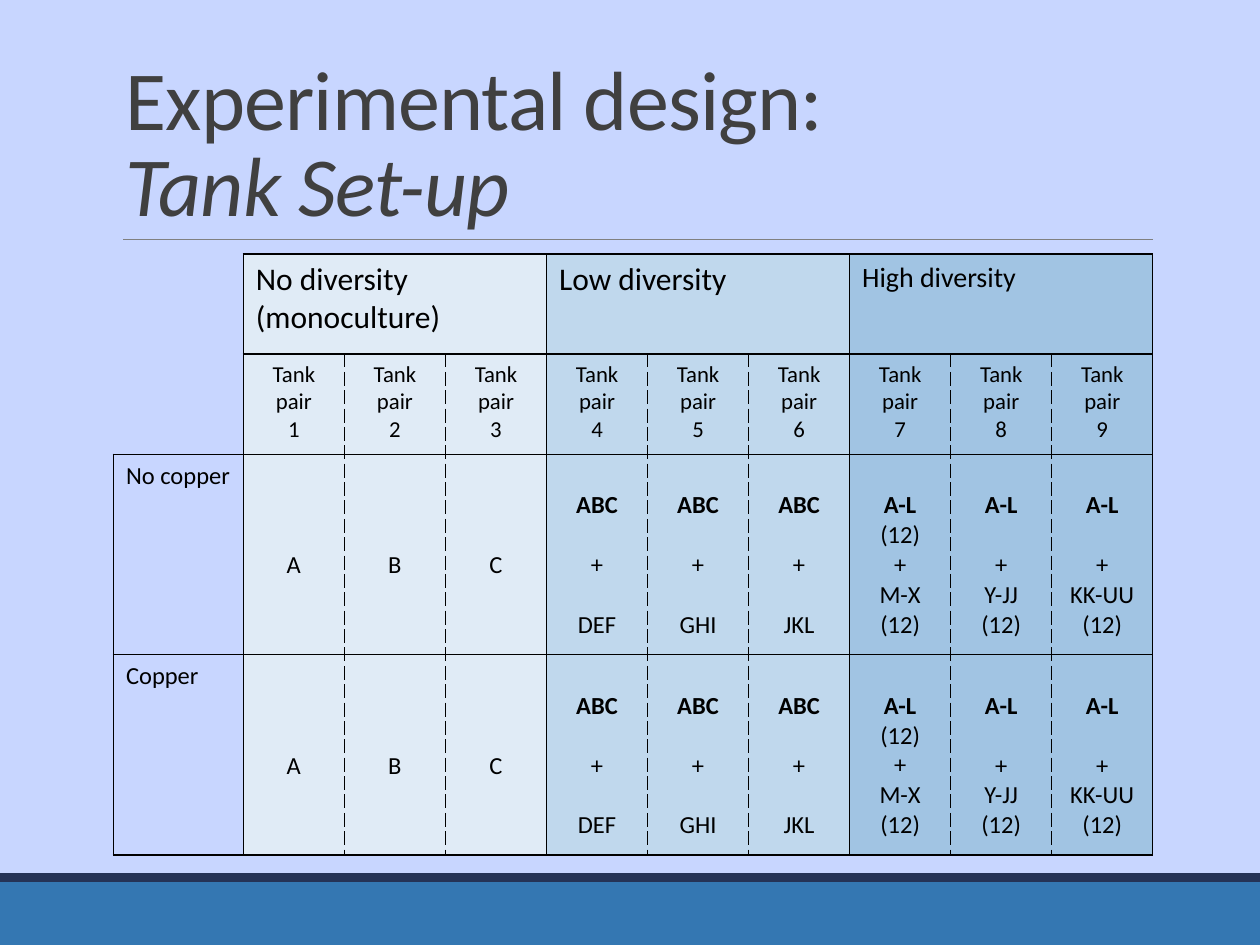
"""Build the tank set-up slide of an experimental design talk."""
from lxml import etree
from pptx import Presentation
from pptx.dml.color import RGBColor
from pptx.enum.shapes import MSO_CONNECTOR, MSO_SHAPE
from pptx.enum.text import MSO_ANCHOR, PP_ALIGN
from pptx.oxml import parse_xml
from pptx.oxml.ns import nsdecls, qn
from pptx.util import Pt


def color(value):
    """Turn a hex string into a colour."""
    return RGBColor.from_string(value)


def set_borders(cell, styles):
    """Draw the left, right, top and bottom edges; None hides an edge."""
    properties = cell._tc.get_or_add_tcPr()
    for index, (side, dash) in enumerate(zip("LRTB", styles)):
        fill = '<a:solidFill><a:srgbClr val="000000"/></a:solidFill>' if dash else "<a:noFill/>"
        line = parse_xml(
            f'<a:ln{side} {nsdecls("a")} w="12700">{fill}'
            f'<a:prstDash val="{dash or "solid"}"/></a:ln{side}>'
        )
        properties.insert(index, line)


presentation = Presentation()
presentation.slide_width = Pt(720)
presentation.slide_height = Pt(540)
slide = presentation.slides.add_slide(presentation.slide_layouts[6])
slide.background.fill.solid()
slide.background.fill.fore_color.rgb = color("C8D6FF")

for top, height, fill in ((504, 36, "3477B2"), (499, 5, "253356")):
    bar = slide.shapes.add_shape(MSO_SHAPE.RECTANGLE, 0, Pt(top), Pt(720), Pt(height))
    bar.shadow.inherit = False
    bar.fill.solid()
    bar.fill.fore_color.rgb = color(fill)
    bar.line.fill.background()

rule = slide.shapes.add_connector(MSO_CONNECTOR.STRAIGHT, Pt(70.5), Pt(136.8), Pt(658.8), Pt(136.8))
rule.line.color.rgb = color("808080")
rule.line.width = Pt(0.5)
etree.SubElement(rule._element.spPr, qn("a:effectLst"))

title = slide.shapes.add_textbox(Pt(64.8), Pt(22.3), Pt(594), Pt(114.5))
title.text_frame.word_wrap = True
title.text_frame.vertical_anchor = MSO_ANCHOR.BOTTOM
paragraph = title.text_frame.paragraphs[0]
paragraph.line_spacing = 0.85
paragraph.font.size = Pt(48)
paragraph.font.name = "Calibri"
paragraph.font.color.rgb = color("404040")
paragraph.add_run().text = "Experimental design:"
paragraph.add_line_break()
subtitle = paragraph.add_run()
subtitle.text = "Tank Set-up"
subtitle.font.italic = True
for run in paragraph.runs:
    run.font.size = Pt(48)
    run._r.get_or_add_rPr().set("spc", "-50")

LINE = 17.1
groups = [
    ("No diversity (monoculture)", 18, "E0EBF6"),
    ("Low diversity", 18, "C0D8ED"),
    ("High diversity", 16, "A1C4E3"),
]
mixes = [[name] for name in "ABC"]
mixes += [["ABC", "+", name] for name in ("DEF", "GHI", "JKL")]
mixes += [["A-L", "(12)", "+", "M-X", "(12)"]]
mixes += [["A-L", "+", name, "(12)"] for name in ("Y-JJ", "KK-UU")]

table = slide.shapes.add_table(4, 10, Pt(64.8), Pt(145.2), Pt(594), Pt(343.5)).table
table.first_row = False
table.horz_banding = False
for index, column in enumerate(table.columns):
    column.width = Pt(57.75 if index else 74.25)
for row, height in zip(table.rows, (57.25, 57.25, 114.5, 114.5)):
    row.height = Pt(height)

for row in range(4):
    for column in range(10):
        cell = table.cell(row, column)
        group, member = divmod(column - 1, 3)
        heading, size, fill = groups[group]
        left = right = top = "solid"
        lines = []
        if column == 0:
            size = 14
            if row < 2:
                left = top = None
            else:
                lines = [("No copper", "Copper")[row - 2]]
        elif row == 0:
            lines = [heading] if member == 0 else []
        else:
            left = "dash" if member > 0 else "solid"
            right = "dash" if member < 2 else "solid"
            if row == 1:
                size = 13
                label = ["Tank pair"] if 5 <= column <= 8 else ["Tank", "pair"]
                lines = label + [str(column)]
            else:
                size = 14
                lines = mixes[column - 1]
                cell.margin_top = Pt(3.6 + LINE * (3 if group == 0 else 1))
        set_borders(cell, (left, right, top, "solid"))
        if column:
            cell.fill.solid()
            cell.fill.fore_color.rgb = color(fill)
        else:
            cell.fill.background()
        for index, text in enumerate(lines):
            frame = cell.text_frame
            paragraph = frame.add_paragraph() if index else frame.paragraphs[0]
            paragraph.text = text
            paragraph.font.size = Pt(size)
            paragraph.font.name = "Calibri"
            paragraph.font.color.rgb = color("000000")
            paragraph.font.bold = text in ("ABC", "A-L")
            if column and row:
                paragraph.alignment = PP_ALIGN.CENTER
            after_gap = text == "+" and lines[index - 1] != "(12)"
            if after_gap or (group == 1 and row > 1 and index == 2):
                paragraph.space_before = Pt(LINE)

table.cell(0, 0).merge(table.cell(1, 0))
for column in (1, 4, 7):
    table.cell(0, column).merge(table.cell(0, column + 2))

presentation.save("out.pptx")
